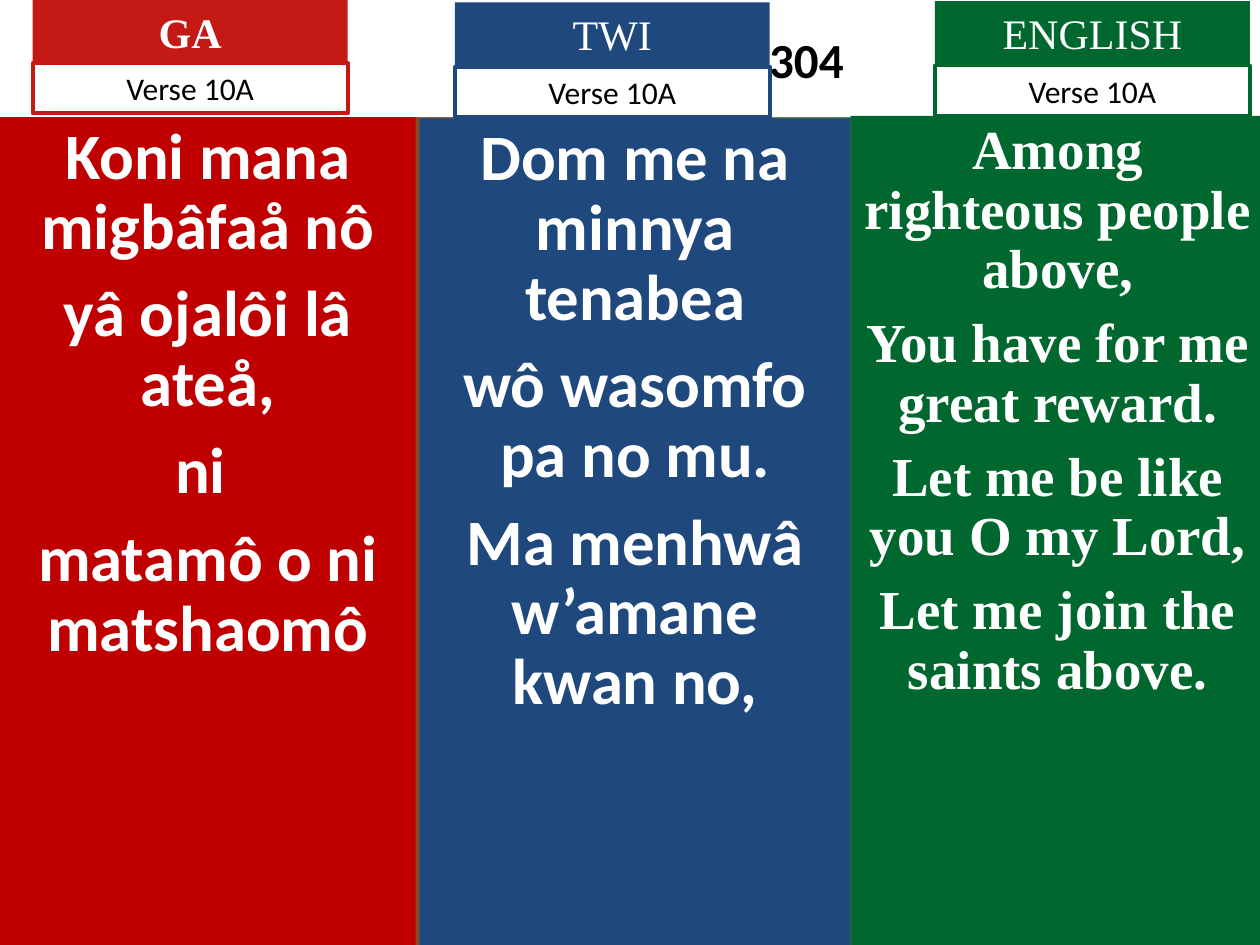
from pptx import Presentation
from pptx.dml.color import RGBColor
from pptx.enum.shapes import MSO_SHAPE
from pptx.enum.text import MSO_ANCHOR, PP_ALIGN
from pptx.util import Inches, Pt

WHITE = RGBColor(0xFF, 0xFF, 0xFF)
BLACK = RGBColor(0x00, 0x00, 0x00)
RED = RGBColor(0xC5, 0x19, 0x15)
DARK_RED = RGBColor(0xC0, 0x00, 0x00)
BLUE = RGBColor(0x1F, 0x49, 0x7D)
GREEN = RGBColor(0x00, 0x68, 0x2F)
BRIGHT_GREEN = RGBColor(0x00, 0xB0, 0x50)

SLIDE_WIDTH, SLIDE_HEIGHT = 10, 7.5
TAB_WIDTH, TAB_HEIGHT, VERSE_HEIGHT = 2.5, 0.5, 0.4
HYMN_NUMBER = "304"
VERSE = "Verse 10A"

COLUMNS = [
    {
        "language": "GA", "bold": True, "tab_color": RED, "color": DARK_RED,
        "tab": (0.26, 0), "verse_top": 0.5, "panel": (0, 0.93, 3.3),
        "font": "Calibri", "size": 37, "gap": 10,
        "lines": ["Koni mana migbâfaå nô", "yâ ojalôi lâ ateå,", "ni ",
                  "matamô o ni matshaomô"],
    },
    {
        "language": "TWI", "bold": False, "tab_color": BLUE, "color": BLUE,
        "tab": (3.61, 0.02), "verse_top": 0.53, "panel": (3.33, 0.94, 3.42),
        "font": "Calibri", "size": 37, "gap": 10,
        "lines": ["Dom me na minnya tenabea", "wô wasomfo pa no mu.",
                  "Ma menhwâ w’amane kwan no,"],
    },
    {
        "language": "ENGLISH", "bold": False, "tab_color": GREEN, "color": GREEN,
        "tab": (7.42, 0.01), "verse_top": 0.52, "panel": (6.75, 0.92, 3.29),
        "font": "Times New Roman", "size": 31.4, "gap": 8.5,
        "lines": ["Among righteous people above,", "You have for me great reward.",
                  "Let me be like you O my Lord,", "Let me join the saints above."],
    },
]


def add_box(page, lines, left, top, width, height, *, fill=None, outline=None,
            font="Calibri", size=18, color=WHITE, bold=False, gap=0,
            line_spacing=None, anchor=MSO_ANCHOR.TOP, left_inset=0.1):
    box = page.shapes.add_shape(MSO_SHAPE.RECTANGLE, Inches(left), Inches(top),
                                Inches(width), Inches(height))
    box.shadow.inherit = False
    if fill is None:
        box.fill.background()
    else:
        box.fill.solid()
        box.fill.fore_color.rgb = fill
    if outline is None:
        box.line.fill.background()
    else:
        box.line.color.rgb = outline
        box.line.width = Pt(2.25)

    frame = box.text_frame
    frame.word_wrap = True
    frame.vertical_anchor = anchor
    frame.margin_left = Inches(left_inset)
    frame.margin_right = Inches(0.1)
    frame.margin_top = frame.margin_bottom = Inches(0.05)
    for index, line in enumerate(lines):
        para = frame.add_paragraph() if index else frame.paragraphs[0]
        para.alignment = PP_ALIGN.CENTER
        para.space_before = Pt(gap if index else 0)
        if line_spacing:
            para.line_spacing = line_spacing
        span = para.add_run()
        span.text = line
        span.font.name = font
        span.font.size = Pt(size)
        span.font.bold = bold
        span.font.color.rgb = color
    return box


def add_panel(page, column):
    left, top, width = column["panel"]
    add_box(page, column["lines"], left, top, width, SLIDE_HEIGHT - top,
            fill=column["color"], font=column["font"], size=column["size"],
            bold=True, gap=column["gap"], line_spacing=0.9)


def add_heading(page, column):
    left, top = column["tab"]
    add_box(page, [column["language"]], left, top, TAB_WIDTH, TAB_HEIGHT,
            fill=column["tab_color"], font="Times New Roman", size=24,
            bold=column["bold"])
    add_box(page, [VERSE], left, column["verse_top"], TAB_WIDTH, VERSE_HEIGHT,
            outline=column["tab_color"], color=BLACK)


def main():
    deck = Presentation()
    deck.slide_width = Inches(SLIDE_WIDTH)
    deck.slide_height = Inches(SLIDE_HEIGHT)
    page = deck.slides.add_slide(deck.slide_layouts[6])

    backdrop = page.background.fill
    backdrop.gradient()
    backdrop.gradient_angle = 0
    for stop, color in zip(backdrop.gradient_stops, (RED, BRIGHT_GREEN)):
        stop.color.rgb = color

    add_box(page, [HYMN_NUMBER], 0, 0, SLIDE_WIDTH, 0.93, fill=WHITE, size=28,
            color=BLACK, bold=True, anchor=MSO_ANCHOR.MIDDLE, left_inset=2.9)
    for column in COLUMNS:
        add_panel(page, column)
    for column in COLUMNS:
        add_heading(page, column)

    deck.save("out.pptx")


if __name__ == "__main__":
    main()
